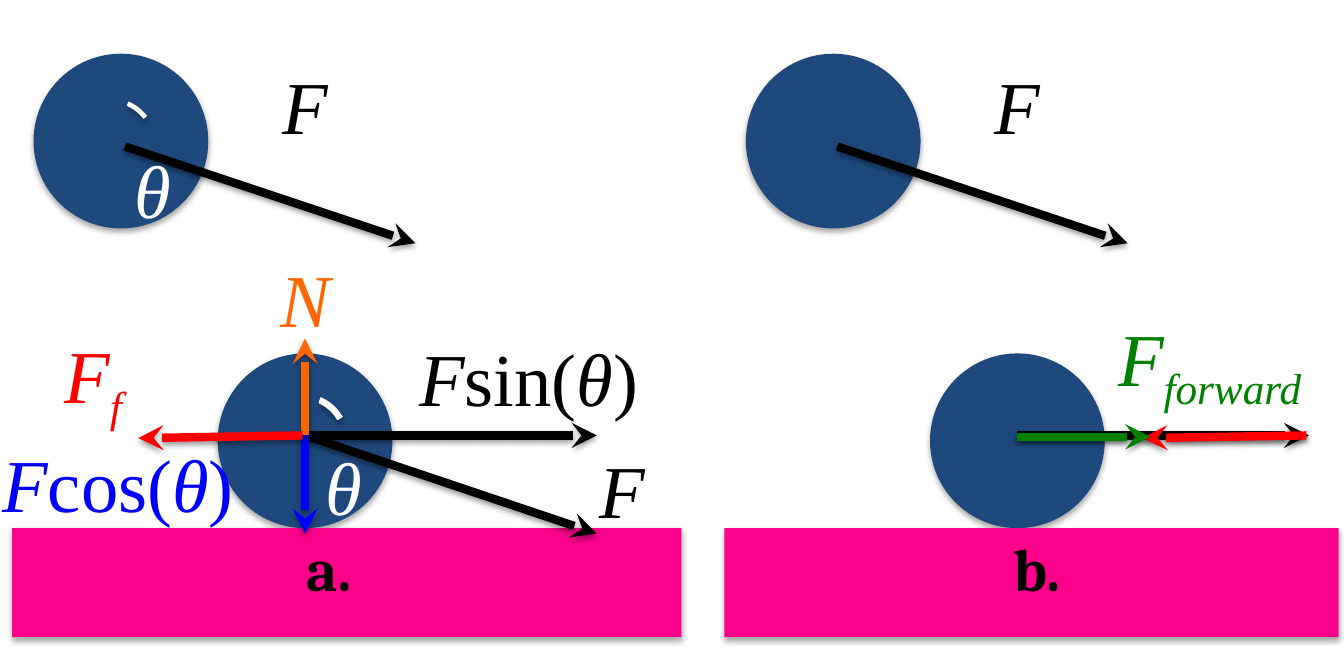
import pptx
import pptx.util
import pptx.dml.color
import pptx.enum.shapes
import pptx.enum.text
import pptx.oxml.ns
from lxml import etree

PX = 9144  # EMU per px, 100 px to the inch
PANEL_STEP = 530
SHAPE = pptx.enum.shapes.MSO_SHAPE
COLORS = {
    "ball": "1F497D", "ground": "FC028B", "black": "000000", "white": "FFFFFF",
    "blue": "0000FF", "orange": "FF6600", "red": "FF0000", "green": "008000",
}


def px(*values):
    return [v * PX for v in values]


def rgb(name):
    return pptx.dml.color.RGBColor.from_string(COLORS[name])


def add_child(parent, tag, **attrs):
    return etree.SubElement(parent, pptx.oxml.ns.qn(tag), attrs)


def add_shadow(sp, dist, alpha):
    effects = add_child(sp._element.spPr, "a:effectLst")
    shadow = add_child(effects, "a:outerShdw", blurRad="40000", dist=str(dist),
                       dir="5400000", rotWithShape="0")
    color = add_child(shadow, "a:srgbClr", val=COLORS["black"])
    add_child(color, "a:alpha", val=str(alpha * 1000))


def add_solid(s, kind, box, color, outline=None):
    sp = s.shapes.add_shape(kind, *px(*box))
    sp.fill.solid()
    sp.fill.fore_color.rgb = rgb(color)
    if outline:
        sp.line.color.rgb = rgb(color)
        sp.line.width = pptx.util.Pt(outline)
    else:
        sp.line.fill.background()
    add_shadow(sp, 23000, 35)
    return sp


def add_ball(s, x, y):
    add_solid(s, SHAPE.OVAL, (x, y, 130, 130), "ball")


def add_angle_arc(s, x, y, end, thickness):
    sp = add_solid(s, SHAPE.BLOCK_ARC, (x, y, 63, 67), "white", outline=0.75)
    sp.rotation = 154.6
    # Angles are stored in 60000ths of a degree, adjustments in 100000ths
    sp.adjustments[0] = 135.75 * 0.6
    sp.adjustments[1] = end * 0.6
    sp.adjustments[2] = thickness


def add_arrow(s, start, end, color):
    line = s.shapes.add_connector(pptx.enum.shapes.MSO_CONNECTOR.STRAIGHT,
                                  *px(*start, *end))
    line.line.color.rgb = rgb(color)
    line.line.width = pptx.util.Pt(4.5)
    add_child(line.line._get_or_add_ln(), "a:tailEnd", type="stealth")
    add_shadow(line, 20000, 38)


def add_run(p, text, *, color, size=40, font="Times New Roman",
            italic=True, bold=False, sub=False):
    r = p.add_run()
    r.text = text
    r.font.name = font
    r.font.size = pptx.util.Pt(size)
    r.font.italic = italic
    r.font.bold = bold
    r.font.color.rgb = rgb(color)
    if sub:
        r._r.get_or_add_rPr().set("baseline", "-25000")


def add_label(s, x, y, w, runs, h=77, **style):
    tf = s.shapes.add_textbox(*px(x, y, w, h)).text_frame
    tf.word_wrap = True
    tf.auto_size = pptx.enum.text.MSO_AUTO_SIZE.SHAPE_TO_FIT_TEXT
    for text, extra in runs:
        add_run(tf.paragraphs[0], text, **{**style, **extra})


def plain(text):
    return [(text, {})]


def with_subscript(text, index):
    return [(text, {}), (index, {"sub": True})]


def component(function):
    upright = {"italic": False}
    return [("F", {}), (function + "(", upright), ("θ", {}), (")", upright)]


def add_panel(s, dx, ground_width):
    """Ball on the ground, and the pushed ball above it."""
    add_ball(s, dx + 162, 263)
    add_solid(s, SHAPE.RECTANGLE, (dx + 9, 393, ground_width, 81), "ground")
    add_ball(s, dx + 25, 40)
    add_arrow(s, (dx + 93, 109), (dx + 309, 181), "black")
    add_label(s, dx + 200, 40, 51, plain("F"), color="black")
    add_arrow(s, (dx + 227, 324), (dx + 444, 324), "black")


def add_caption(s, x, text):
    add_label(s, x, 391, 74, plain(text), h=64, color="black", size=32,
              font="Cambria", italic=False, bold=True)


def main():
    prs = pptx.Presentation()
    prs.slide_width, prs.slide_height = px(1000, 500)
    s = prs.slides.add_slide(prs.slide_layouts[6])

    # Panel a: all forces on the ball
    add_panel(s, 0, 498)
    center = (227, 324)
    add_arrow(s, center, (444, 397), "black")
    add_arrow(s, center, (227, 397), "blue")
    add_arrow(s, center, (227, 252), "orange")
    add_arrow(s, (225, 324), (103, 326), "red")
    add_label(s, 199, 183, 57, plain("N"), color="orange")
    add_label(s, 38, 240, 142, with_subscript("F", "f"), color="red")
    add_label(s, 302, 242, 221, component("sin"), color="black")
    add_label(s, -8, 321, 213, component("cos"), color="blue")
    add_label(s, 436, 325, 51, plain("F"), color="black")

    # Angles between the force and the vertical
    add_label(s, 232, 323, 71, plain("θ"), color="white")
    add_angle_arc(s, 196, 293, 173.94, 0.06)
    add_label(s, 90, 102, 71, plain("θ"), color="white")
    add_angle_arc(s, 53, 73, 165.45, 0.04)

    # Panel b: net forward force
    add_panel(s, PANEL_STEP, 457)
    add_label(s, 822, 227, 221, with_subscript("F", "forward"), color="green")
    add_arrow(s, (972, 324), (850, 326), "red")
    add_arrow(s, (757, 325), (856, 325), "green")

    # Captions on the ground
    add_caption(s, 218, "a.")
    add_caption(s, 744, "b.")
    prs.save("out.pptx")


if __name__ == "__main__":
    main()
